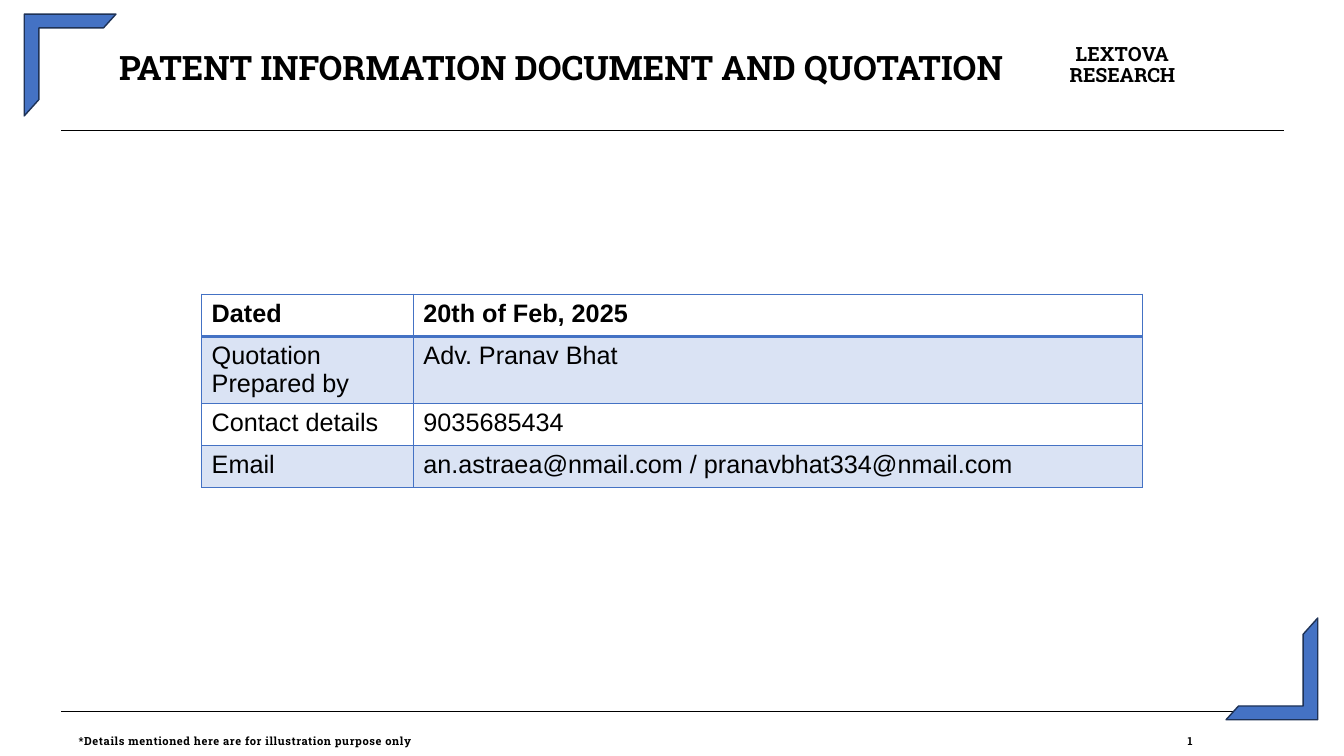
from dataclasses import dataclass

from lxml.etree import SubElement
from pptx import Presentation
from pptx.dml.color import RGBColor
from pptx.enum.shapes import MSO_CONNECTOR, MSO_SHAPE
from pptx.enum.text import MSO_ANCHOR, MSO_AUTO_SIZE, PP_ALIGN
from pptx.oxml.ns import qn
from pptx.util import Inches, Pt


@dataclass(frozen=True)
class Theme:
    ink: RGBColor = RGBColor(0x00, 0x00, 0x00)
    accent: RGBColor = RGBColor(0x44, 0x72, 0xC4)
    outline: RGBColor = RGBColor(0x1E, 0x32, 0x56)
    band: RGBColor = RGBColor(0xDA, 0xE3, 0xF4)
    heading_font: str = "Roboto Slab"
    body_font: str = "Arial"
    title_size: int = 24
    name_size: int = 14
    table_size: int = 18
    footer_size: int = 8


THEME = Theme()
RULE_LEFT, RULE_RIGHT = 0.61, 12.73
DETAILS = [
    ("Dated", "20th of Feb, 2025"),
    ("Quotation Prepared by", "Adv. Pranav Bhat"),
    ("Contact details", "9035685434"),
    ("Email", "an.astraea@nmail.com / pranavbhat334@nmail.com"),
]


def add_run(p, text, size, font=THEME.heading_font, bold=True, spacing=0):
    """Add a run; spacing is the tracking in hundredths of a point."""
    r = p.add_run()
    r.text = text
    r.font.name = font
    r.font.size = Pt(size)
    r.font.bold = bold
    r.font.color.rgb = THEME.ink
    if spacing:
        r._r.get_or_add_rPr().set("spc", str(spacing))


def place_text(s, left, top, width, height, line_spacing):
    """Position a text shape without insets and return its first paragraph."""
    s.left, s.top = Inches(left), Inches(top)
    s.width, s.height = Inches(width), Inches(height)
    tf = s.text_frame
    tf.margin_left = tf.margin_right = tf.margin_top = tf.margin_bottom = 0
    tf.word_wrap = True
    tf.auto_size = MSO_AUTO_SIZE.NONE
    tf.vertical_anchor = MSO_ANCHOR.TOP
    p = tf.paragraphs[0]
    p.space_before = Pt(0)
    p.line_spacing = line_spacing
    return p


def add_text_box(slide, *place):
    return place_text(slide.shapes.add_textbox(0, 0, 0, 0), *place)


def add_title(slide):
    p = place_text(slide.shapes.title, 0.61, 0.54, 9.91, 0.35, 0.82)
    p.alignment = PP_ALIGN.CENTER
    add_run(p, "PATENT INFORMATION DOCUMENT AND QUOTATION", THEME.title_size)


def add_firm_name(slide):
    p = add_text_box(slide, 10.6, 0.45, 1.2, 0.43, 0.87)
    pPr = p._p.get_or_add_pPr()
    pPr.set("marL", str(Inches(0.01)))
    pPr.set("indent", str(Inches(0.06)))
    add_run(p, "LEXTOVA", THEME.name_size, spacing=10)
    p.add_line_break()
    add_run(p, "RESEARCH", THEME.name_size, spacing=-10)


def add_footer(slide):
    p = add_text_box(slide, 0.78, 7.31, 11.92, 0.15, 0.84)
    tabs = SubElement(p._p.get_or_add_pPr(), qn("a:tabLst"))
    SubElement(tabs, qn("a:tab"), pos=str(Inches(11)), algn="l")
    note = "*Details mentioned here are for illustration purpose only"
    add_run(p, note + "\t1", THEME.footer_size, spacing=40)


def add_rule(slide, y):
    line = slide.shapes.add_connector(
        MSO_CONNECTOR.STRAIGHT,
        Inches(RULE_LEFT), Inches(y), Inches(RULE_RIGHT), Inches(y))
    line.line.color.rgb = THEME.ink
    line.line.width = Pt(0.48)
    SubElement(line._element.spPr, qn("a:effectLst"))


def add_corner(slide, left, top, rotation=0):
    s = slide.shapes.add_shape(
        MSO_SHAPE.HALF_FRAME,
        Inches(left), Inches(top), Inches(0.91), Inches(1.01))
    s.adjustments[0], s.adjustments[1] = 0.15, 0.16
    s.rotation = rotation
    s.shadow.inherit = False
    s.fill.solid()
    s.fill.fore_color.rgb = THEME.accent
    s.line.color.rgb = THEME.outline
    s.line.width = Pt(1)


def set_borders(cell, top, bottom):
    """Draw all four borders; top and bottom are widths in points."""
    tcPr = cell._tc.get_or_add_tcPr()
    widths = {"lnL": 1, "lnR": 1, "lnT": top, "lnB": bottom}
    for tag, width in widths.items():
        ln = SubElement(tcPr, qn(f"a:{tag}"), w=str(Pt(width)))
        fill = SubElement(ln, qn("a:solidFill"))
        SubElement(fill, qn("a:srgbClr"), val=str(THEME.accent))


def add_details_table(slide):
    table = slide.shapes.add_table(
        len(DETAILS), 2,
        Inches(2), Inches(2.92), Inches(9.33), Inches(1.92)).table
    table.first_row = table.horz_banding = False
    for column, width in zip(table.columns, (2.1, 7.23)):
        column.width = Inches(width)
    for row, height in zip(table.rows, (0.42, 0.66, 0.42, 0.42)):
        row.height = Inches(height)
    for i, texts in enumerate(DETAILS):
        for j, text in enumerate(texts):
            cell = table.cell(i, j)
            add_run(cell.text_frame.paragraphs[0], text, THEME.table_size,
                    font=THEME.body_font, bold=i == 0)
            set_borders(cell, top=2 if i == 1 else 1,
                        bottom=2 if i == 0 else 1)
            if i % 2:
                cell.fill.solid()
                cell.fill.fore_color.rgb = THEME.band
            else:
                cell.fill.background()


def main():
    prs = Presentation()
    prs.slide_width, prs.slide_height = Inches(13.33), Inches(7.5)
    slide = prs.slides.add_slide(prs.slide_layouts[5])
    add_title(slide)
    add_firm_name(slide)
    for y in (1.29, 7.06):
        add_rule(slide, y)
    add_corner(slide, 0.24, 0.14)
    add_corner(slide, 12.16, 6.13, rotation=180)
    add_footer(slide)
    add_details_table(slide)
    prs.save("out.pptx")


if __name__ == "__main__":
    main()
